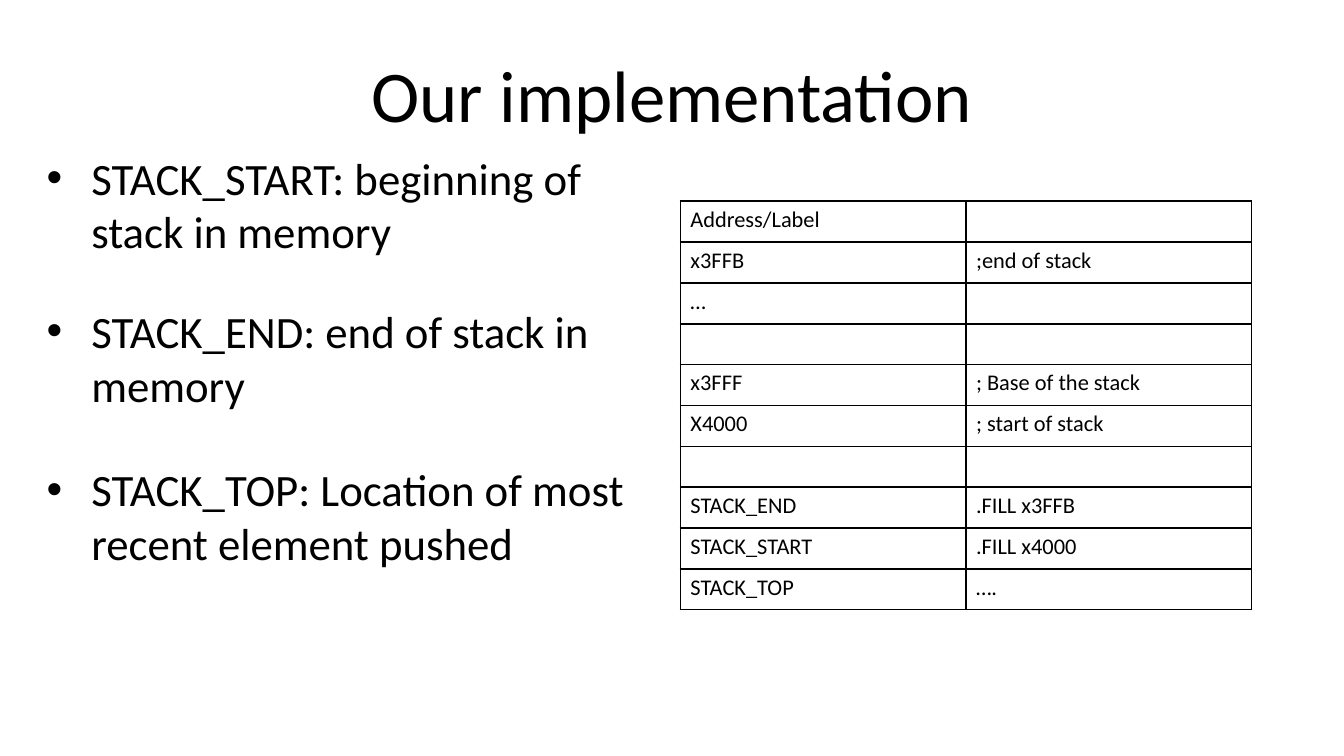
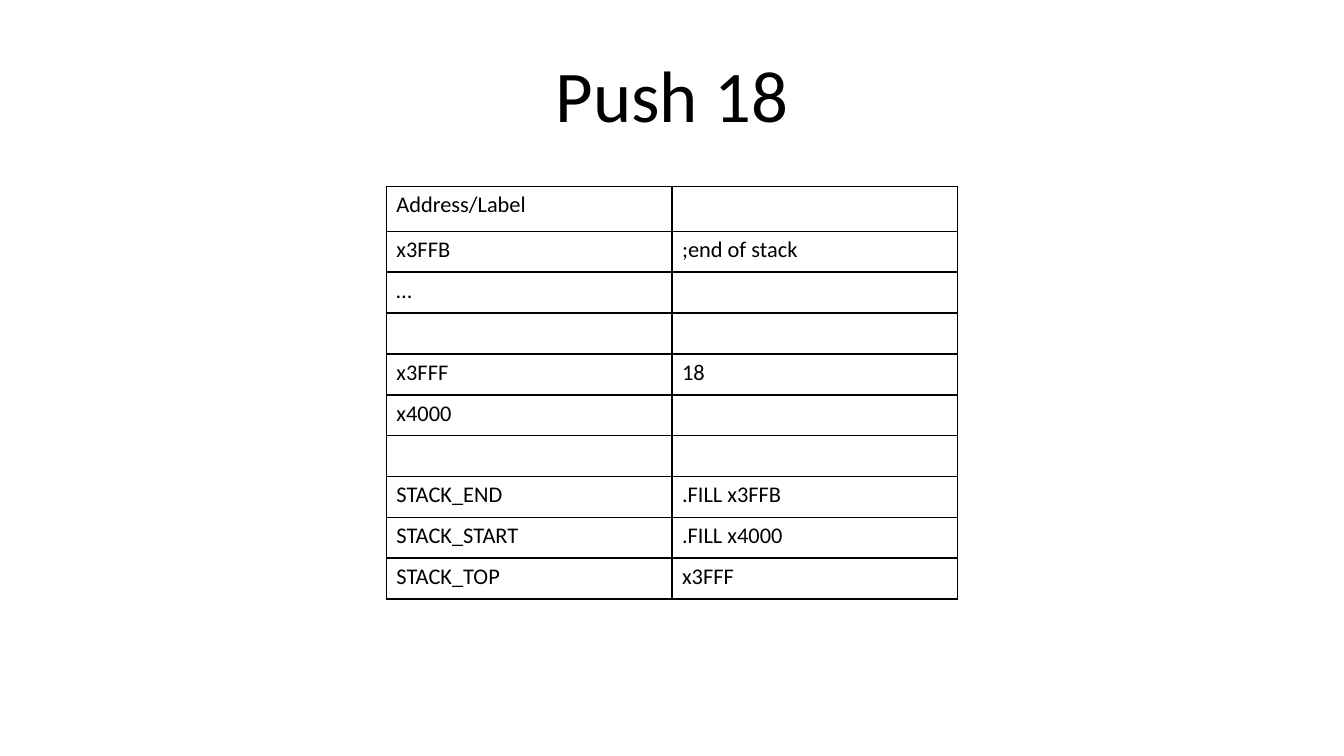
from pptx import Presentation
from pptx import util as u
from pptx.dml.color import RGBColor
from pptx.enum import text
from pptx.oxml import parse_xml
from pptx.oxml.ns import nsdecls

Pt = u.Pt
COLORS = {"ink": "000000", "paper": "FFFFFF"}
FONT = "Calibri"
INSETS = {
    "margin_left": Pt(5.4),
    "margin_right": Pt(5.4),
    "margin_top": Pt(2.7),
    "margin_bottom": Pt(2.7),
}
TITLE_BOX = (49.5, 21.7, 621, 78.3)
BODY_BOX = (19.5, 77.8, 323.3, 257)
ROW_HEIGHT = 21.9
COL_WIDTH = 153

TERMS = [
    ("STACK_START: beginning of stack in memory", 0),
    ("STACK_END: end of stack in memory", 24.5),
    ("STACK_TOP: Location of most recent element pushed", 27.3),
]


def memory_rows(base, start_label, start, top):
    return [
        ("Address/Label", ""),
        ("x3FFB", ";end of stack"),
        ("…", ""),
        ("", ""),
        ("x3FFF", base),
        (start_label, start),
        ("", ""),
        ("STACK_END", ".FILL x3FFB"),
        ("STACK_START", ".FILL x4000"),
        ("STACK_TOP", top),
    ]


def set_attrs(obj, values):
    for name, value in values.items():
        setattr(obj, name, value)


def style_run(r, size):
    set_attrs(r.font, {"name": FONT, "size": Pt(size), "bold": False})
    r.font.color.rgb = RGBColor.from_string(COLORS["ink"])


def place(sp, box):
    set_attrs(sp, dict(zip(("left", "top", "width", "height"), map(Pt, box))))
    set_attrs(sp.text_frame, {
        **INSETS,
        "word_wrap": True,
        "auto_size": text.MSO_AUTO_SIZE.NONE,
        "vertical_anchor": text.MSO_ANCHOR.TOP,
    })


def add_title(s, title, box):
    sp = s.shapes.title
    place(sp, box)
    sp.text_frame.margin_top = Pt(5)
    p = sp.text_frame.paragraphs[0]
    p.alignment = text.PP_ALIGN.CENTER
    r = p.add_run()
    r.text = title
    style_run(r, 39)


def add_terms(s, terms, box):
    sp = s.placeholders[1]
    place(sp, box)
    tf = sp.text_frame
    for i, (term, gap) in enumerate(terms):
        p = tf.add_paragraph() if i else tf.paragraphs[0]
        p.space_before = Pt(gap)
        pPr = p._p.get_or_add_pPr()
        pPr.set("marL", str(Pt(24)))
        pPr.set("indent", str(-Pt(24)))
        r = p.add_run()
        r.text = term
        style_run(r, 24)


def add_borders(cell):
    tcPr = cell._tc.get_or_add_tcPr()
    for i, side in enumerate(("lnL", "lnR", "lnT", "lnB")):
        tcPr.insert(i, parse_xml(
            f'<a:{side} {nsdecls("a")} w="{Pt(1)}"><a:solidFill>'
            f'<a:srgbClr val="{COLORS["ink"]}"/></a:solidFill></a:{side}>'))


def fill_cell(cell, label, size=12):
    set_attrs(cell, INSETS)
    cell.fill.background()
    add_borders(cell)
    p = cell.text_frame.paragraphs[0]
    if label:
        r = p.add_run()
        r.text = label
        style_run(r, size)
    else:
        p._p.append(parse_xml(
            f'<a:endParaRPr {nsdecls("a")} sz="{size * 100}"/>'))


def add_memory_table(s, rows, left, top, header_height=ROW_HEIGHT):
    heights = [header_height] + [ROW_HEIGHT] * (len(rows) - 1)
    table = s.shapes.add_table(
        len(rows), 2, Pt(left), Pt(top), Pt(2 * COL_WIDTH), Pt(sum(heights))).table
    set_attrs(table, {"first_row": False, "horz_banding": False})
    for col in table.columns:
        col.width = Pt(COL_WIDTH)
    for i, (labels, height) in enumerate(zip(rows, heights)):
        table.rows[i].height = Pt(height)
        for j, label in enumerate(labels):
            fill_cell(table.cell(i, j), label)


def add_slide(prs, layout, title):
    s = prs.slides.add_slide(prs.slide_layouts[layout])
    fill = s.background.fill
    fill.solid()
    fill.fore_color.rgb = RGBColor.from_string(COLORS["paper"])
    add_title(s, title, TITLE_BOX)
    return s


def implementation_slide(prs):
    s = add_slide(prs, 1, "Our implementation")
    add_terms(s, TERMS, BODY_BOX)
    rows = memory_rows("; Base of the stack", "X4000", "; start of stack", "….")
    add_memory_table(s, rows, 364.5, 107.8)


def push_slide(prs):
    s = add_slide(prs, 5, "Push 18")
    rows = memory_rows("18", "x4000", "", "x3FFF")
    add_memory_table(s, rows, 207, 100, 24)


def main():
    prs = Presentation()
    set_attrs(prs, {"slide_width": Pt(720), "slide_height": Pt(405)})
    implementation_slide(prs)
    push_slide(prs)
    prs.save("out.pptx")


if __name__ == "__main__":
    main()
